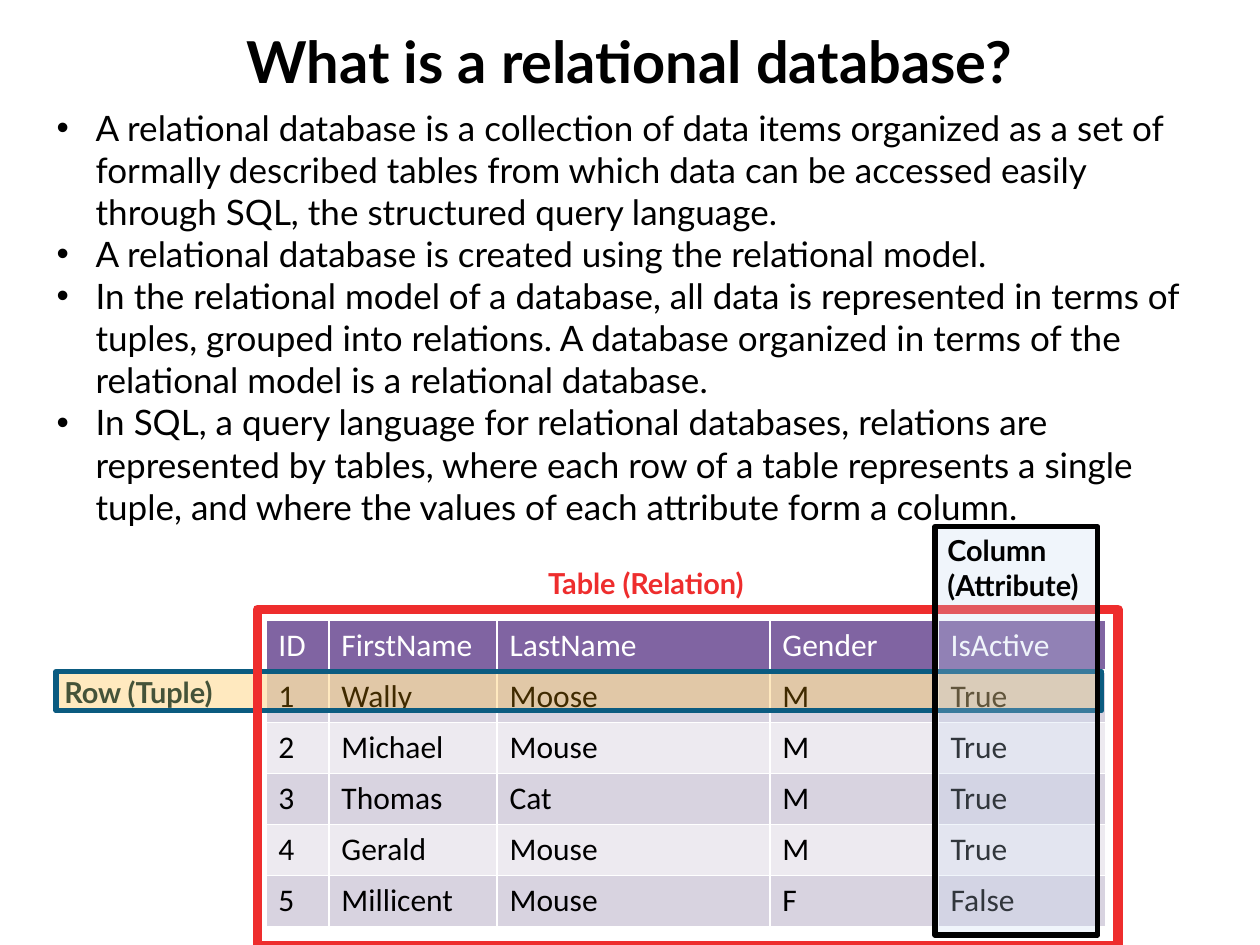
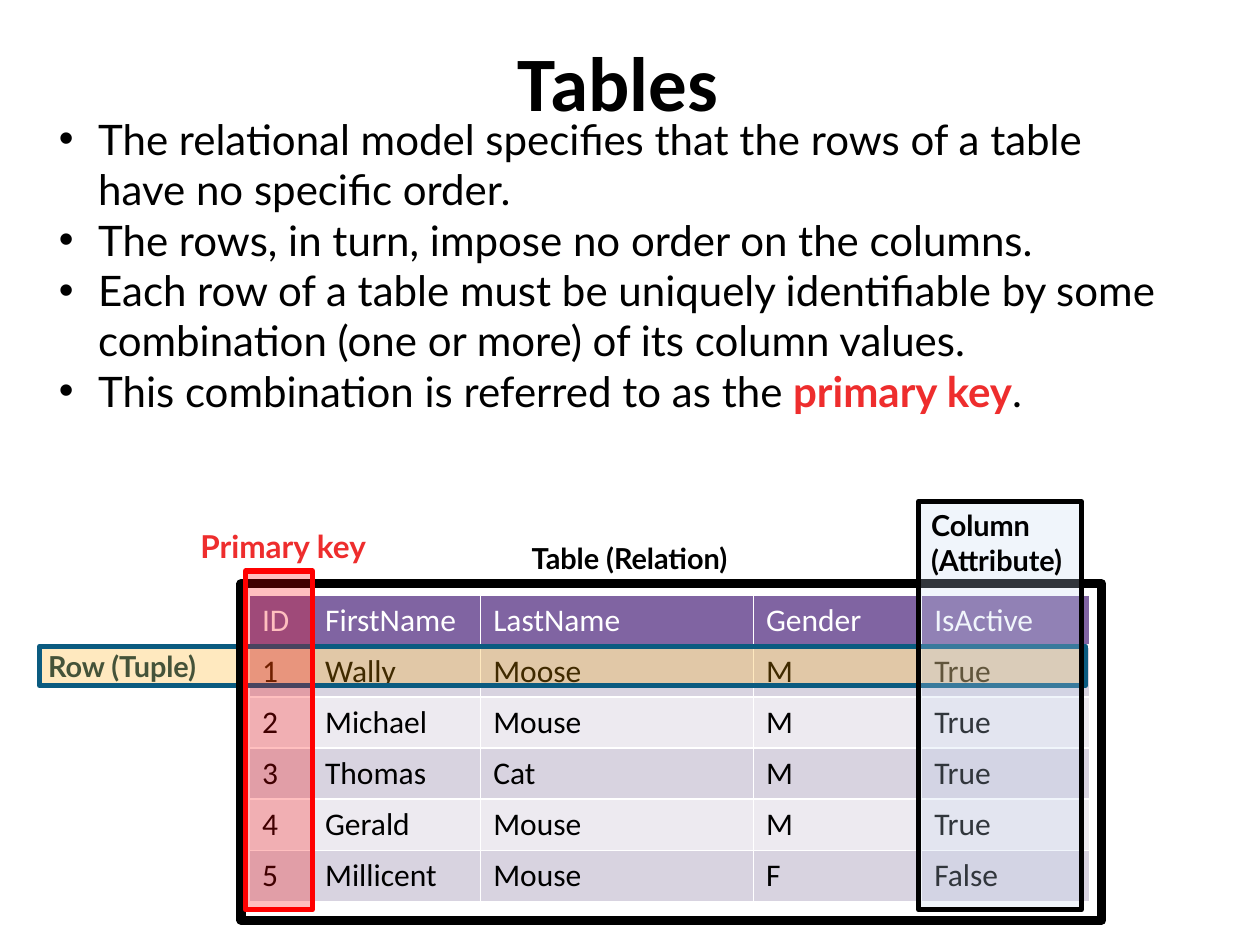
from lxml.etree import SubElement
from pptx import Presentation
from pptx.dml.color import RGBColor as RGB
from pptx.enum.shapes import MSO_SHAPE as Shape
from pptx.enum.text import MSO_ANCHOR as Anchor, MSO_AUTO_SIZE as AutoSize, PP_ALIGN as Align
from pptx.oxml.ns import qn
from pptx.util import Cm, Pt

BLACK = RGB(0x00, 0x00, 0x00)
WHITE = RGB(0xFF, 0xFF, 0xFF)
RED = RGB(0xEE, 0x2D, 0x2D)
KEY_RED = RGB(0xFF, 0x00, 0x00)
ROW_TEXT = RGB(0x07, 0x36, 0x4D)
ROW_LINE = RGB(0x0B, 0x5B, 0x80)
ROW_FILL = RGB(0xFF, 0xAA, 0x00)
COLUMN_FILL = RGB(0xC6, 0xD9, 0xF1)
HEADER_FILL = RGB(0x80, 0x64, 0xA2)
BAND_FILLS = (RGB(0xED, 0xEA, 0xF0), RGB(0xD8, 0xD3, 0xE0))

HEADING_FONT, CELL_FONT = "Lato", "Calibri"
BULLET_INDENT = Cm(0.79)
ROW_HEIGHT = 1.03
COLUMN_WIDTHS = (1.27, 3.39, 5.5, 3.39, 3.39)

PEOPLE = (
    ("ID", "FirstName", "LastName", "Gender", "IsActive"),
    ("1", "Wally", "Moose", "M", "True"),
    ("2", "Michael", "Mouse", "M", "True"),
    ("3", "Thomas", "Cat", "M", "True"),
    ("4", "Gerald", "Mouse", "M", "True"),
    ("5", "Millicent", "Mouse", "F", "False"),
)

DATABASE_POINTS = (
    "A relational database is a collection of data items organized as a set of formally "
    "described tables from which data can be accessed easily through SQL, the structured "
    "query language.",
    "A relational database is created using the relational model.",
    "In the relational model of a database, all data is represented in terms of tuples, "
    "grouped into relations. A database organized in terms of the relational model is a "
    "relational database.",
    "In SQL, a query language for relational databases, relations are represented by tables, "
    "where each row of a table represents a single tuple, and where the values of each "
    "attribute form a column.",
)

# A point is one text, or a tuple of texts in which every second one is stressed
TABLE_POINTS = (
    "The relational model specifies that the rows of a table have no specific order.",
    "The rows, in turn, impose no order on the columns.",
    "Each row of a table must be uniquely identifiable by some combination (one or more) "
    "of its column values.",
    ("This combination is referred to as the ", "primary key", "."),
)


def write(paragraph, text, size=16.5, font=HEADING_FONT, color=BLACK, bold=False, align=None):
    """Add a formatted run to a paragraph."""
    run = paragraph.add_run()
    run.text = text
    run.font.size, run.font.name, run.font.bold = Pt(size), font, bold
    run.font.color.rgb = color
    if align is not None:
        paragraph.alignment = align


def set_border(cell, side, width):
    line = SubElement(cell._tc.get_or_add_tcPr(), qn(f"a:ln{side}"), w=str(Pt(width)))
    SubElement(SubElement(line, qn("a:solidFill")), qn("a:srgbClr"), val=str(WHITE))


class Deck:
    """Holds the presentation, its style and the current slide."""

    def __init__(self):
        self.prs = Presentation()
        self.prs.slide_width, self.prs.slide_height = Cm(25.4), Cm(19.05)
        self.slide = None

    def start(self, title, left, top, width, height, **style):
        self.slide = self.prs.slides.add_slide(self.prs.slide_layouts[5])
        heading = self.slide.shapes.title
        heading.left, heading.top = Cm(left), Cm(top)
        heading.width, heading.height = Cm(width), Cm(height)
        frame = heading.text_frame
        frame.auto_size, frame.vertical_anchor = AutoSize.NONE, Anchor.MIDDLE
        write(frame.paragraphs[0], title, bold=True, align=Align.CENTER, **style)

    def text_frame(self, left, top, width, height, wrap=True):
        box = self.slide.shapes.add_textbox(Cm(left), Cm(top), Cm(width), Cm(height))
        box.text_frame.word_wrap = wrap
        return box.text_frame

    def label(self, text, left, top, width, height, wrap=True, **style):
        frame = self.text_frame(left, top, width, height, wrap)
        write(frame.paragraphs[0], text, bold=True, **style)

    def bullets(self, points, left, top, width, height, size):
        frame = self.text_frame(left, top, width, height)
        for number, point in enumerate(points):
            paragraph = frame.add_paragraph() if number else frame.paragraphs[0]
            props = paragraph._p.get_or_add_pPr()
            props.set("marL", str(BULLET_INDENT))
            props.set("indent", str(-BULLET_INDENT))
            SubElement(props, qn("a:buFont"), typeface="Arial")
            SubElement(props, qn("a:buChar"), char="•")
            parts = (point,) if isinstance(point, str) else point
            for index, part in enumerate(parts):
                stressed = index % 2 == 1
                write(paragraph, part, size=size, bold=stressed,
                      color=RED if stressed else BLACK)

    def outline(self, left, top, width, height, line, weight=3, fill=None):
        """Add a rectangle that is empty or filled at 25 % opacity."""
        box = self.slide.shapes.add_shape(
            Shape.RECTANGLE, Cm(left), Cm(top), Cm(width), Cm(height))
        box.shadow.inherit = False
        box.line.color.rgb, box.line.width = line, Pt(weight)
        if fill is None:
            box.fill.background()
        else:
            box.fill.solid()
            box.fill.fore_color.rgb = fill
            color = box.element.spPr.find(qn("a:solidFill"))[0]
            SubElement(color, qn("a:alpha"), val="25000")

    def table(self, rows, left, top):
        grid = self.slide.shapes.add_table(
            len(rows), len(COLUMN_WIDTHS), Cm(left), Cm(top),
            Cm(sum(COLUMN_WIDTHS)), Cm(ROW_HEIGHT * len(rows))).table
        grid.first_row = grid.horz_banding = False
        for column, width in zip(grid.columns, COLUMN_WIDTHS):
            column.width = Cm(width)
        for r, values in enumerate(rows):
            grid.rows[r].height = Cm(ROW_HEIGHT)
            for c, value in enumerate(values):
                cell = grid.cell(r, c)
                for side in "LRTB":
                    set_border(cell, side, 3 if r == 0 and side == "B" else 1)
                cell.fill.solid()
                cell.fill.fore_color.rgb = BAND_FILLS[r % 2] if r else HEADER_FILL
                write(cell.text_frame.paragraphs[0], value, size=18, font=CELL_FONT,
                      color=BLACK if r else WHITE)

    def relation(self, x, y, color):
        """Draw the table at x, y with its row, table and column marks."""
        self.label("Row (Tuple)", x - 4.31, y + 0.97, 3.96, 0.97, color=ROW_TEXT)
        self.label("Table (Relation)", x + 5.44, y - 1.22, 5.92, 0.97, color=color)
        self.table(PEOPLE, x, y)
        self.outline(x - 4.23, y + 1.04, 21.08, 0.79, ROW_LINE, fill=ROW_FILL)
        self.outline(x - 0.17, y - 0.22, 17.35, 6.78, color, weight=5.25)
        self.outline(x + 13.49, y - 1.88, 3.28, 8.23, BLACK, fill=COLUMN_FILL)
        self.label("Column (Attribute)", x + 13.49, y - 1.88, 3.56, 1.68)

    def primary_key(self, x, y):
        self.outline(x - 0.08, y - 0.48, 1.35, 6.83, KEY_RED, fill=KEY_RED)
        self.label("Primary key", x - 1.24, y - 1.5, 4.14, 1.02, wrap=False,
                   size=18, color=RED)


def main():
    deck = Deck()

    # Relational database
    deck.start("What is a relational database?", 3, 0.38, 19.38, 1.68, size=33)
    deck.bullets(DATABASE_POINTS, 0.89, 2.03, 23.7, 8.81, size=20)
    deck.relation(5.36, 12.5, RED)

    # Tables and the primary key
    deck.start("Tables", 3.94, 0.56, 17.04, 2.13, size=44, font=CELL_FONT)
    deck.bullets(TABLE_POINTS, 0.94, 2.16, 22.86, 6.4, size=24)
    deck.relation(5.03, 11.99, BLACK)
    deck.primary_key(5.03, 11.99)

    deck.prs.save("out.pptx")


if __name__ == "__main__":
    main()
